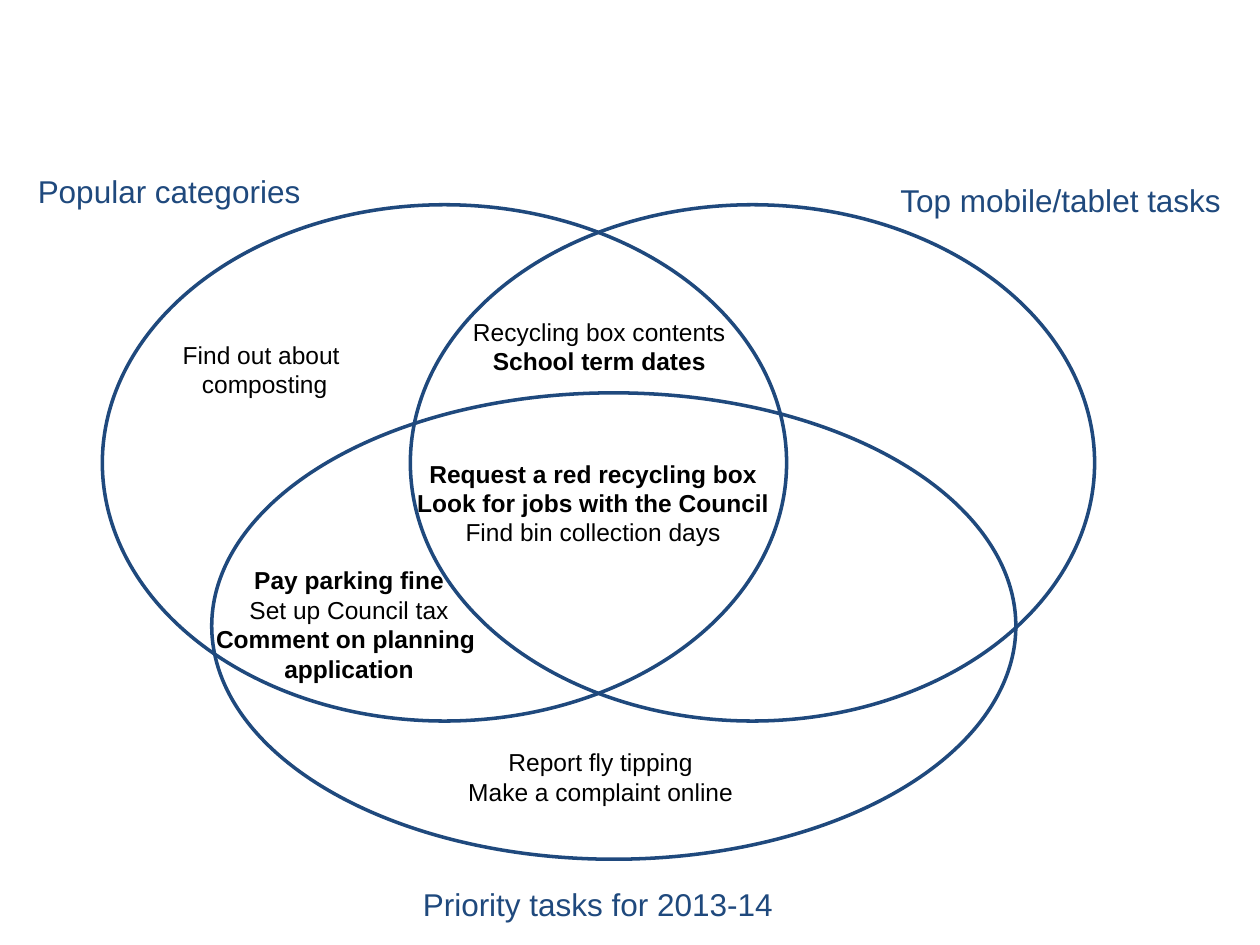
import pptx
import pptx.dml.color
import pptx.enum.shapes
import pptx.enum.text
import pptx.util

Pt = pptx.util.Pt
ALIGN = pptx.enum.text.PP_ALIGN
NAVY = "1F497D"
BLACK = "000000"


def color(value):
    return pptx.dml.color.RGBColor.from_string(value)


def add_text(lines, left, top, width, height, size=14, fill=BLACK, align=ALIGN.CENTER):
    box = page.shapes.add_textbox(Pt(left), Pt(top), Pt(width), Pt(height))
    frame = box.text_frame
    frame.word_wrap = False
    frame.auto_size = pptx.enum.text.MSO_AUTO_SIZE.SHAPE_TO_FIT_TEXT
    for index, (text, bold) in enumerate(lines):
        para = frame.add_paragraph() if index else frame.paragraphs[0]
        para.alignment = align
        span = para.add_run()
        span.text = text
        span.font.name = "Arial"
        span.font.size = Pt(size)
        span.font.bold = bold
        span.font.color.rgb = color(fill)


deck = pptx.Presentation()
deck.slide_width = Pt(720)
deck.slide_height = Pt(540)
page = deck.slides.add_slide(deck.slide_layouts[6])

ellipses = [
    (58.5, 117, 391, 295),
    (121, 224.5, 459.5, 266.5),
    (234.5, 117, 391, 295),
]
for left, top, width, height in ellipses:
    ellipse = page.shapes.add_shape(
        pptx.enum.shapes.MSO_SHAPE.OVAL, Pt(left), Pt(top), Pt(width), Pt(height)
    )
    ellipse.shadow.inherit = False
    ellipse.fill.background()
    ellipse.line.color.rgb = color(NAVY)
    ellipse.line.width = Pt(2)

set_labels = [
    ("Popular categories", 14.5, 94.5, 166),
    ("Top mobile/tablet tasks", 507.5, 100, 199.5),
    ("Priority tasks for 2013-14", 234.5, 502, 217),
]
for text, left, top, width in set_labels:
    add_text([(text, False)], left, top, width, 29, size=18, fill=NAVY, align=ALIGN.LEFT)

task_groups = [
    (231, 258.5, 216, 58, [
        ("Request a red recycling box", True),
        ("Look for jobs with the Council", True),
        ("Find bin collection days", False),
    ]),
    (262.5, 177.5, 160, 41, [
        ("Recycling box contents", False),
        ("School term dates", True),
    ]),
    (116, 319.5, 167, 92, [
        ("Pay parking fine", True),
        ("Set up Council tax", False),
        ("Comment on planning ", True),
        ("application", True),
    ]),
    (260, 423.5, 166.5, 41, [
        ("Report fly tipping", False),
        ("Make a complaint online", False),
    ]),
    (78.5, 190.5, 145.5, 58, [
        ("Find out about ", False),
        ("composting", False),
    ]),
]
for left, top, width, height, tasks in task_groups:
    add_text(tasks, left, top, width, height)

deck.save("out.pptx")
